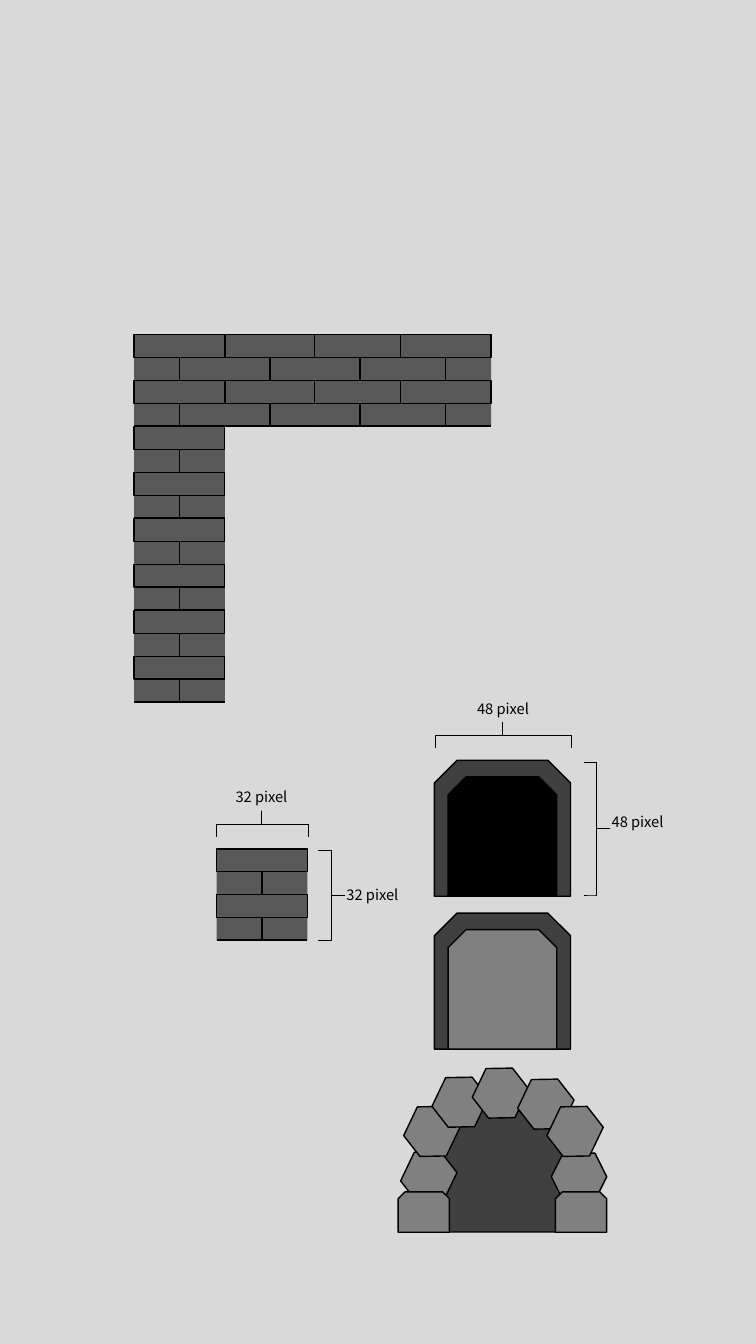
from pptx import Presentation, util as u
from pptx.dml.color import RGBColor
from pptx.enum import shapes, text
from pptx.oxml.xmlchemy import OxmlElement

COLOURS = {"ground": "D9D9D9", "brick": "595959", "ink": "000000",
           "frame": "404040", "stone": "808080"}
KIND = shapes.MSO_SHAPE
TILE = 64.8      # side of a wall tile
COURSE = 16.35   # pitch of the brick courses


class Sketch:
    """Holds the slide and the style; all lengths are points."""
    font = "Noto Sans CJK KR"
    size = 10.5

    def __init__(self, page):
        self.page = page
        self.layer = page.shapes
        page.background.fill.solid()
        page.background.fill.fore_color.rgb = self.colour("ground")

    def colour(self, name):
        return RGBColor.from_string(COLOURS[name])

    def start_group(self):
        self.layer = self.page.shapes.add_group_shape().shapes

    def shape(self, kind, left, top, width, height, fill=None, line=1, turn=0):
        item = self.layer.add_shape(kind, u.Pt(left), u.Pt(top), u.Pt(width), u.Pt(height))
        item.shadow.inherit = False
        item.rotation = turn
        if fill:
            item.fill.solid()
            item.fill.fore_color.rgb = self.colour(fill)
        else:
            item.fill.background()
        if line:
            item.line.color.rgb = self.colour("ink")
            item.line.width = u.Pt(line)
        else:
            item.line.fill.background()
        return item

    def line(self, left, top, right, bottom, width=1):
        item = self.layer.add_connector(shapes.MSO_CONNECTOR.STRAIGHT,
                                        u.Pt(left), u.Pt(top), u.Pt(right), u.Pt(bottom))
        item.line.color.rgb = self.colour("ink")
        item.line.width = u.Pt(width)
        item._element.spPr.append(OxmlElement("a:effectLst"))
        return item

    def label(self, words, left, top, width, height):
        box = self.layer.add_textbox(u.Pt(left), u.Pt(top), u.Pt(width), u.Pt(height))
        box.text_frame.word_wrap = True
        para = box.text_frame.paragraphs[0]
        para.alignment = text.PP_ALIGN.CENTER
        span = para.add_run()
        span.text = words
        span.font.name = self.font
        span.font.size = u.Pt(self.size)
        span.font.color.rgb = self.colour("ink")

    def tile(self, left, top):
        self.start_group()
        split = [self.shape(KIND.RECTANGLE, left, top + row * COURSE, TILE, COURSE,
                            "brick", line=0) for row in (3, 1)]
        for row in (0, 2):
            self.shape(KIND.RECTANGLE, left, top + row * COURSE, TILE, COURSE, "brick")
        for course in split:
            joint = self.line(left, top, left, top + COURSE)
            joint.begin_connect(course, 0)
            joint.end_connect(course, 2)
        base = top + 4 * COURSE - 0.2
        self.line(left, base, left + TILE, base, 1.5)

    def measure(self, words, brace, label, turn=0):
        self.start_group()
        item = self.shape(KIND.RIGHT_BRACE, *brace, line=0.5, turn=turn)
        item.adjustments[0] = 0
        item.adjustments[1] = 0.496
        self.label(words, *label)

    def arch(self, left, top, width, height, fill):
        self.shape(KIND.SNIP_2_SAME_RECTANGLE, left, top, width, height, fill)

    def door(self, left, top, inside):
        self.start_group()
        self.arch(left, top, 97.2, 97.2, "frame")
        self.arch(left + 9.8, top + 11.8, 77.6, 85.4, inside)


def main():
    deck = Presentation()
    deck.slide_width, deck.slide_height = u.Pt(540), u.Pt(960)
    sketch = Sketch(deck.slides.add_slide(deck.slide_layouts[6]))

    # Wall: corner, column going down, then the rest of the top row
    wall_left, wall_top = 95.8, 239
    sketch.tile(wall_left + TILE, wall_top)
    for step in range(4):
        sketch.tile(wall_left, wall_top + step * 65.7)
    for left in (224.7, 286):
        sketch.tile(left, wall_top)

    # Single tile with its measures
    sketch.tile(154.8, 606.3)
    sketch.measure("32 pixel", (227.5, 607.7, 18.7, 64.1), (239, 629.3, 54, 20.2))
    sketch.measure("32 pixel", (177.8, 555.8, 18.7, 65.5), (159.8, 559.4, 54, 20.2), 270)

    # Doors with their measures
    sketch.measure("48 pixel", (416.9, 544.3, 18.7, 95), (428.4, 576.7, 54, 29.5))
    sketch.measure("48 pixel", (349.9, 476.6, 18.7, 97.2), (319, 496.1, 80.6, 20.2), 270)
    for top, inside in ((543, "ink"), (652.2, "stone")):
        sketch.door(310.3, top, inside)

    # Cave mouth ringed with stones
    sketch.start_group()
    sketch.arch(308.9, 782.8, 97.2, 97.2, "frame")
    tilt = 295.5
    for left, top, turn in ((286.5, 823.7, tilt), (393.8, 823.7, 0), (288.7, 791.3, tilt),
                            (308.9, 770.4, tilt), (337.7, 763.9, tilt),
                            (370.1, 771.8, tilt), (391, 791.3, tilt)):
        sketch.shape(KIND.HEXAGON, left, top, 39.6, 33.8, "stone", turn=turn)
    for left in (284.4, 396.7):
        sketch.arch(left, 851.4, 36.6, 28.8, "stone")

    deck.save("out.pptx")


if __name__ == "__main__":
    main()
